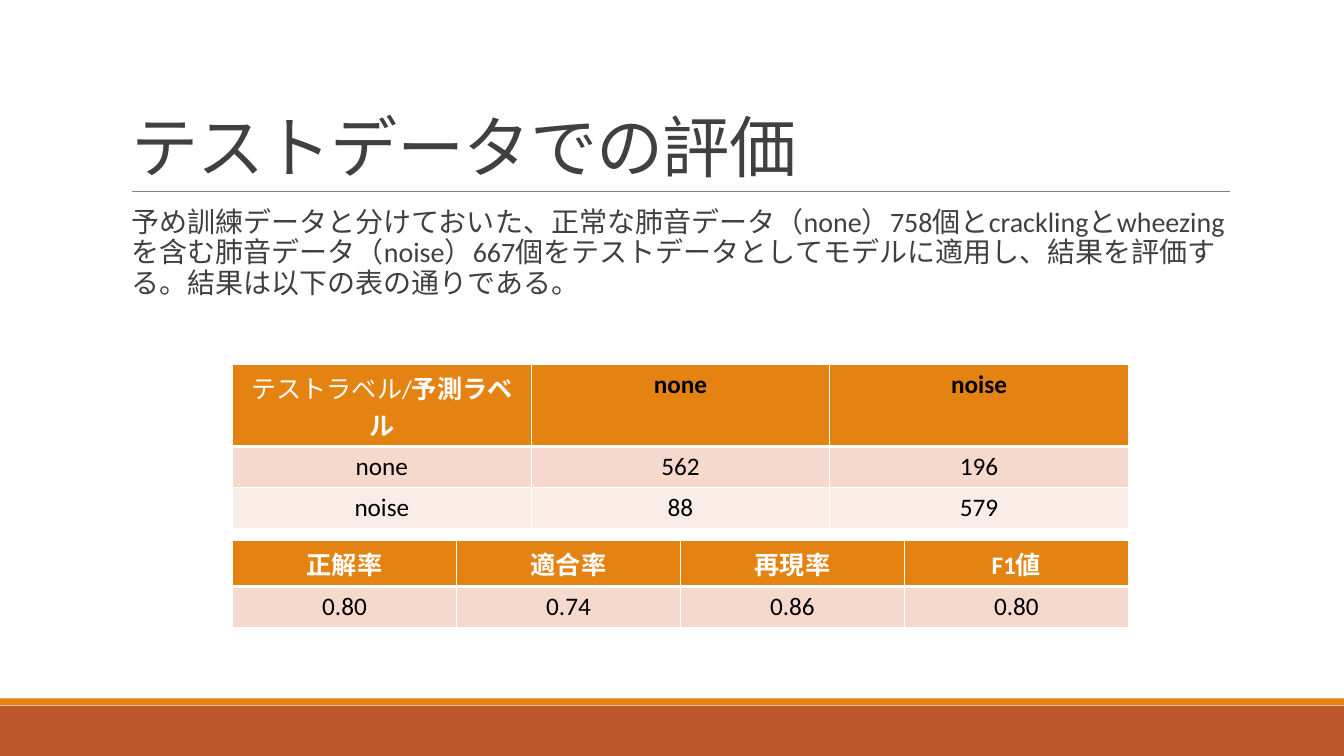
from lxml import etree
from pptx import Presentation
from pptx import util as u
from pptx.dml.color import RGBColor
from pptx.enum import shapes, text
from pptx.oxml.ns import qn

HUE = {"rust": "BD582C", "orange": "E48312", "grey": "808080", "ink": "404040",
       "white": "FFFFFF", "black": "000000", "pink": "F5D9CC", "pale": "FAEDE7"}
FONT = "Calibri"
TITLE = "テストデータでの評価"
BODY = ("予め訓練データと分けておいた、正常な肺音データ（none）758個とcracklingと"
        "wheezingを含む肺音データ（noise）667個をテストデータとしてモデルに適用し、"
        "結果を評価する。結果は以下の表の通りである。")
COUNTS = [["テストラベル/|予測ラベル", "none", "noise"],
          ["none", "562", "196"],
          ["noise", "88", "579"]]
SCORES = [["正解率", "適合率", "再現率", "F1値"],
          ["0.80", "0.74", "0.86", "0.80"]]
WIDE, HIGH = 33.87, 19.05
LEFT, SPAN = 3.06, 27.94
GRID_X, GRID_W, ROW_H = 5.86, 22.58, 1.03


def rgb(name):
    return RGBColor.from_string(HUE[name])


def write(frame, words, size=18, color="black", bold=False, align=None,
          line=None, before=0, after=0, track=None):
    """Fill a frame with one paragraph; a "|" starts a bold run."""
    frame.word_wrap = True
    para = frame.paragraphs[0]
    para.alignment, para.line_spacing = align, line
    para.space_before, para.space_after = u.Pt(before), u.Pt(after)
    parts = words.split("|")
    for num, part in enumerate(parts):
        run = para.add_run()
        run.text = part
        font = run.font
        font.name, font.size = FONT, u.Pt(size)
        font.bold = num > 0 if len(parts) > 1 else bold
        font.color.rgb = rgb(color)
        if track:
            run._r.get_or_add_rPr().set("spc", str(track))


def add_box(slide, x, y, w, h, anchor):
    frame = slide.shapes.add_textbox(u.Cm(x), u.Cm(y), u.Cm(w), u.Cm(h)).text_frame
    frame.vertical_anchor = anchor
    return frame


def add_band(slide, y, h, color):
    band = slide.shapes.add_shape(shapes.MSO_SHAPE.RECTANGLE,
                                  0, u.Cm(y), u.Cm(WIDE), u.Cm(h))
    band.shadow.inherit = False
    band.fill.solid()
    band.fill.fore_color.rgb = rgb(color)
    band.line.fill.background()


def add_rule(slide, x, y, end):
    rule = slide.shapes.add_connector(shapes.MSO_CONNECTOR.STRAIGHT,
                                      u.Cm(x), u.Cm(y), u.Cm(end), u.Cm(y))
    rule.line.color.rgb = rgb("grey")
    rule.line.width = u.Pt(0.5)
    etree.SubElement(rule._element.spPr, qn("a:effectLst"))


def edge(cell, row):
    """Draw white borders, thick between the header and the first row."""
    props = cell._tc.get_or_add_tcPr()
    thick = {0: "B", 1: "T"}.get(row)
    for pos, side in enumerate("LRTB"):
        line = etree.Element(qn("a:ln" + side),
                             w=str(u.Pt(3 if side == thick else 1)))
        fill = etree.SubElement(line, qn("a:solidFill"))
        etree.SubElement(fill, qn("a:srgbClr"), val=HUE["white"])
        props.insert(pos, line)


def add_grid(slide, rows, y, head_h, heads):
    """Add a table whose header is head_h tall, with text colors heads."""
    cols = len(rows[0])
    tall = head_h + ROW_H * (len(rows) - 1)
    grid = slide.shapes.add_table(len(rows), cols, u.Cm(GRID_X), u.Cm(y),
                                  u.Cm(GRID_W), u.Cm(tall)).table
    for col in grid.columns:
        col.width = u.Cm(GRID_W / cols)
    for r, row in enumerate(rows):
        grid.rows[r].height = u.Cm(ROW_H if r else head_h)
        for c, words in enumerate(row):
            cell = grid.cell(r, c)
            cell.fill.solid()
            cell.fill.fore_color.rgb = rgb(("orange", "pink", "pale")[r])
            edge(cell, r)
            write(cell.text_frame, words, bold=r == 0,
                  color=heads[c] if r == 0 else "black",
                  align=text.PP_ALIGN.CENTER)


def main():
    deck = Presentation()
    deck.slide_width, deck.slide_height = u.Cm(WIDE), u.Cm(HIGH)
    slide = deck.slides.add_slide(deck.slide_layouts[6])
    add_band(slide, 17.78, HIGH - 17.78, "rust")
    add_band(slide, 17.6, 0.17, "orange")
    add_rule(slide, 3.33, 4.82, 31)

    title = add_box(slide, LEFT, 0.79, SPAN, 4.03, text.MSO_ANCHOR.BOTTOM)
    write(title, TITLE, size=48, color="ink", line=0.85, track=-50)
    body = add_box(slide, LEFT, 5.13, SPAN, 11.18, text.MSO_ANCHOR.TOP)
    body.margin_right = 0
    write(body, BODY, size=20, color="ink", line=0.9, before=12, after=2)

    add_grid(slide, COUNTS, 9.18, 2.07, ["white", "black", "black"])
    add_grid(slide, SCORES, 13.62, 1.16, ["white"] * 4)
    deck.save("out.pptx")


if __name__ == "__main__":
    main()
